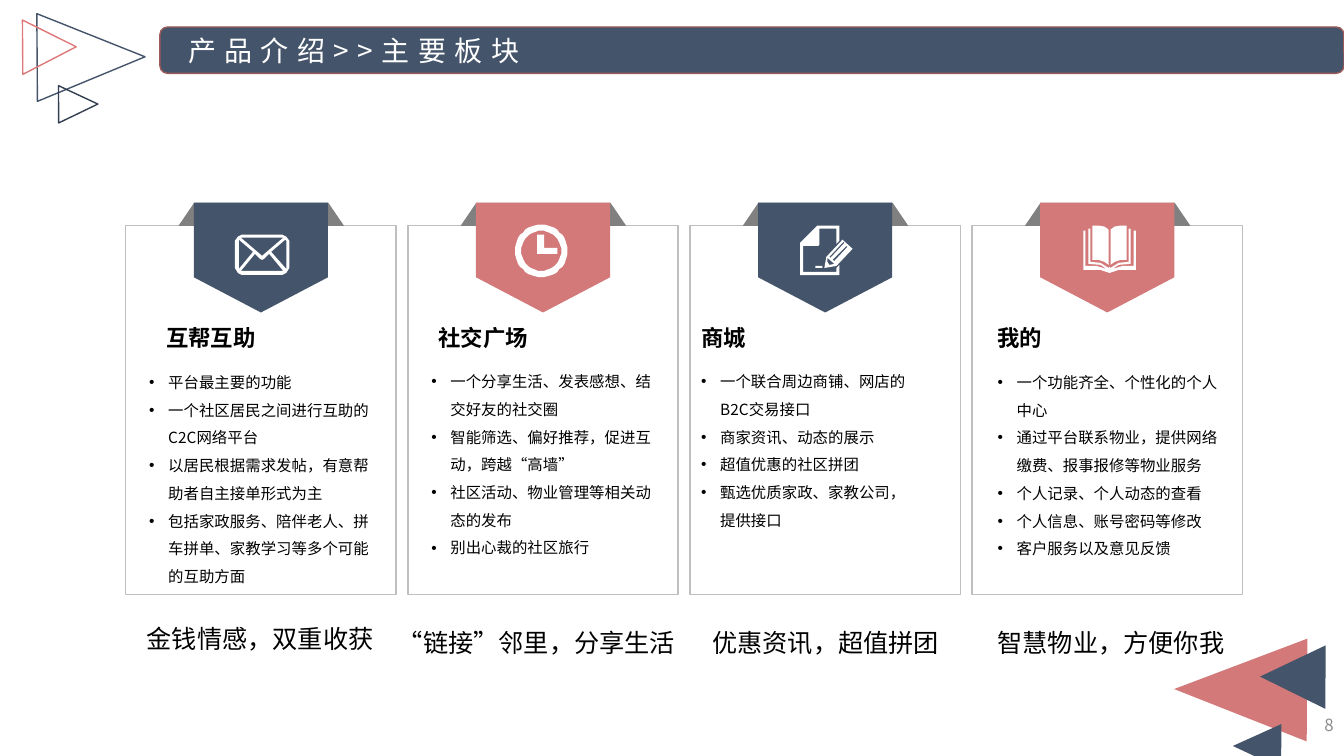
from dataclasses import dataclass
from math import cos, pi, sin

from lxml import etree
from pptx import Presentation
from pptx.dml.color import RGBColor
from pptx.enum.shapes import MSO_SHAPE
from pptx.enum.text import MSO_ANCHOR, PP_ALIGN
from pptx.oxml.ns import qn
from pptx.util import Cm, Pt

RECT, ROUND_RECT = MSO_SHAPE.RECTANGLE, MSO_SHAPE.ROUNDED_RECTANGLE
TRIANGLE, TRAPEZOID = MSO_SHAPE.ISOSCELES_TRIANGLE, MSO_SHAPE.TRAPEZOID
PENTAGON = MSO_SHAPE.PENTAGON
TOP, MIDDLE = MSO_ANCHOR.TOP, MSO_ANCHOR.MIDDLE
LEFT, CENTER, RIGHT = PP_ALIGN.LEFT, PP_ALIGN.CENTER, PP_ALIGN.RIGHT


@dataclass(frozen=True)
class Theme:
    font: str = "Noto Sans CJK SC"
    navy: str = "44546A"
    dark_navy: str = "333F50"
    rose: str = "D37979"
    light_rose: str = "DD7979"
    brick: str = "9C5A5A"
    frame: str = "BFBFBF"
    fold: str = "808080"
    black: str = "000000"
    white: str = "FFFFFF"
    page_grey: str = "8C8C8C"
    title: int = 20
    motto: int = 18
    heading: int = 16
    page: int = 12
    body: int = 11


T = Theme()
CARD_LEFT, CARD_PITCH = 3.17, 7.11
ICON_UNIT = Cm(2.54) / 100

# Icon outlines, in hundredths of an inch from the icon's corner
ENVELOPE = [
    [(47, 10), (7, 10), (3, 12), (0, 16), (0, 43), (3, 48), (7, 50),
     (47, 50), (51, 48), (54, 43), (54, 16), (51, 12)],
    [(36, 27), (50, 15), (51, 16), (51, 44)],
    [(48, 13), (27, 31), (6, 13)],
    [(4, 44), (4, 15), (18, 27)],
    [(6, 46), (20, 29), (25, 34), (27, 35), (29, 34), (34, 29), (48, 46)],
]
CLOCK = [[(24 + r * cos(k * pi / 24), 26 + r * sin(k * pi / 24))
          for k in range(48)] for r in (26, 20)]
CLOCK.append([(20, 10), (27, 10), (27, 23), (40, 23), (40, 29), (20, 29)])
DOCUMENT = [
    [(1, 50), (40, 50), (40, 40), (37, 43), (37, 47), (4, 47), (4, 21),
     (19, 21), (20, 20), (20, 4), (37, 4), (37, 19), (40, 16), (40, 1),
     (18, 1), (1, 18)],
    [(37, 41), (25, 43), (27, 32), (43, 15), (53, 24)],
    [(35, 36), (48, 22), (47, 21), (33, 35)],
    [(31, 33), (45, 18), (44, 17), (30, 32)],
    [(35, 39), (30, 40), (28, 37), (28, 33)],
    [(16, 41), (23, 41), (23, 43), (16, 43)],
]
HALF_BOOK = [
    [(27, 40), (23, 37), (17, 35), (11, 35), (11, 1), (17, 1), (23, 2),
     (27, 5)],
    [(28, 48), (25, 47), (19, 45), (2, 45), (2, 6), (4, 6), (4, 41),
     (15, 41), (25, 44), (19, 40), (7, 39), (7, 4), (9, 4), (9, 37),
     (19, 38), (27, 43), (28, 42)],
]
BOOK = HALF_BOOK + [[(56 - x, y) for x, y in half] for half in HALF_BOOK]

# Each box is left, top, width, height in cm
CARDS = [
    dict(color=T.navy, icon=ENVELOPE, heading="互帮互助",
         heading_at=(3.94, 8.05, 4.45, 0.94), body_at=(3.51, 9.04, 6.17, 6.43),
         body=["平台最主要的功能", "一个社区居民之间进行互助的C2C网络平台",
               "以居民根据需求发帖，有意帮助者自主接单形式为主",
               "包括家政服务、陪伴老人、拼车拼单、家教学习等多个可能的互助方面"],
         motto="金钱情感，双重收获", motto_at=(3.45, 15.44, 6.22, 1.17)),
    dict(color=T.rose, icon=CLOCK, heading="社交广场",
         heading_at=(10.8, 8.05, 6.1, 1.17), body_at=(10.62, 9.02, 6.1, 5.13),
         body=["一个分享生活、发表感想、结交好友的社交圈",
               "智能筛选、偏好推荐，促进互动，跨越“高墙”",
               "社区活动、物业管理等相关动态的发布", "别出心裁的社区旅行"],
         motto="“链接”邻里，分享生活", motto_at=(9.78, 15.53, 7.49, 1.17)),
    dict(color=T.navy, icon=DOCUMENT, heading="商城",
         heading_at=(17.42, 8.05, 5.36, 0.94), body_at=(17.42, 9.02, 5.99, 5),
         body=["一个联合周边商铺、网店的B2C交易接口", "商家资讯、动态的展示",
               "超值优惠的社区拼团", "甄选优质家政、家教公司，提供接口"],
         motto="优惠资讯，超值拼团", motto_at=(17.7, 15.54, 6.22, 1.17)),
    dict(color=T.rose, icon=BOOK, heading="我的",
         heading_at=(24.89, 8.05, 5.56, 0.94), body_at=(24.89, 9.04, 6.22, 5.72),
         body=["一个功能齐全、个性化的个人中心",
               "通过平台联系物业，提供网络缴费、报事报修等物业服务",
               "个人记录、个人动态的查看", "个人信息、账号密码等修改",
               "客户服务以及意见反馈"],
         motto="智慧物业，方便你我", motto_at=(24.89, 15.54, 6.22, 1.17)),
]

# Box, rotation, fill, line
TRIANGLES = [
    ((29.97, 15.7, 2.59, 3.35), 270.4, T.rose, None),
    ((31.12, 18.19, 1.12, 1.22), 270.4, T.navy, None),
    ((31.78, 16.23, 1.6, 1.65), 270.4, T.navy, None),
    ((1.19, 0.08, 2.21, 2.72), 89.6, None, T.navy),
    ((1.5, 2.13, 0.94, 0.99), 89.6, None, T.dark_navy),
    ((0.56, 0.51, 1.37, 1.35), 89.6, None, T.light_rose),
]


def paint(sp, fill=None, line=None):
    sp.shadow.inherit = False
    if fill:
        sp.fill.solid()
        sp.fill.fore_color.rgb = RGBColor.from_string(fill)
    else:
        sp.fill.background()
    if line:
        sp.line.color.rgb = RGBColor.from_string(line)
        sp.line.width = Pt(1)
    else:
        sp.line.fill.background()


def add_preset(s, kind, box, fill=None, line=None, rotation=0, adj=None):
    sp = s.shapes.add_shape(kind, *map(Cm, box))
    sp.rotation = rotation
    if adj is not None:
        sp.adjustments[0] = adj
    paint(sp, fill, line)


def add_icon(s, left, top, outlines):
    fb = None
    for start, *rest in outlines:
        if fb is None:
            fb = s.shapes.build_freeform(*start, scale=ICON_UNIT)
        else:
            fb.move_to(*start)
        fb.add_line_segments(rest, close=True)
    paint(fb.convert_to_shape(Cm(left), Cm(top)), T.white)


def add_bullet(p):
    pPr = p._p.get_or_add_pPr()
    pPr.set("marL", str(Cm(0.48)))
    pPr.set("indent", str(-Cm(0.48)))
    etree.SubElement(pPr, qn("a:buFont")).set("typeface", "Arial")
    etree.SubElement(pPr, qn("a:buChar")).set("char", "•")


def add_text(s, box, lines, size, color=T.black, bold=False, align=LEFT,
             spacing=None, bullets=False, tracking=0, **frame):
    tf = s.shapes.add_textbox(*map(Cm, box)).text_frame
    for name, value in {"word_wrap": True, "vertical_anchor": TOP, **frame}.items():
        setattr(tf, name, value)
    for i, line in enumerate(lines):
        p = tf.add_paragraph() if i else tf.paragraphs[0]
        p.alignment = align
        if spacing:
            p.line_spacing = spacing
        if bullets:
            add_bullet(p)
        r = p.add_run()
        r.text = line
        for name, value in dict(name=T.font, size=Pt(size), bold=bold).items():
            setattr(r.font, name, value)
        r.font.color.rgb = RGBColor.from_string(color)
        rPr = r._r.get_or_add_rPr()
        etree.SubElement(rPr, qn("a:ea")).set("typeface", T.font)
        if tracking:
            rPr.set("spc", str(tracking * 100))


def add_card(s, left, card):
    # Frame, ribbon and icon
    add_preset(s, RECT, (left, 5.69, 6.81, 9.3), line=T.frame)
    add_preset(s, TRAPEZOID, (left + 1.33, 5.11, 4.17, 0.58), T.fold, adj=0.68)
    add_preset(s, PENTAGON, (left + 2.02, 4.8, 2.77, 3.38), card["color"],
               rotation=90, adj=0.32)
    add_icon(s, left + 2.75, 5.66, card["icon"])
    # Texts
    add_text(s, card["body_at"], card["body"], T.body, spacing=1.5, bullets=True)
    add_text(s, card["heading_at"], [card["heading"]], T.heading, bold=True)
    add_text(s, card["motto_at"], [card["motto"]], T.motto, spacing=1.2,
             word_wrap=False)


def main():
    prs = Presentation()
    prs.slide_width, prs.slide_height = Cm(33.87), Cm(19.05)
    s = prs.slides.add_slide(prs.slide_layouts[6])

    # Corner triangles and title bar
    for box, rotation, fill, line in TRIANGLES:
        add_preset(s, TRIANGLE, box, fill, line, rotation)
    add_preset(s, ROUND_RECT, (4.03, 0.68, 29.84, 1.17), T.navy, T.brick)

    # Four cards
    for i, card in enumerate(CARDS):
        add_card(s, CARD_LEFT + i * CARD_PITCH, card)

    # Page number and title
    add_text(s, (26.24, 17.75, 7.62, 1.02), ["8"], T.page, T.page_grey,
             align=RIGHT, vertical_anchor=MIDDLE)
    add_text(s, (1.88, 0.84, 14.07, 0.86), ["产品介绍>>主要板块"], T.title, T.white,
             align=CENTER, tracking=6, vertical_anchor=MIDDLE, margin_left=0,
             margin_right=0, margin_top=0, margin_bottom=0)

    prs.save("out.pptx")


if __name__ == "__main__":
    main()
